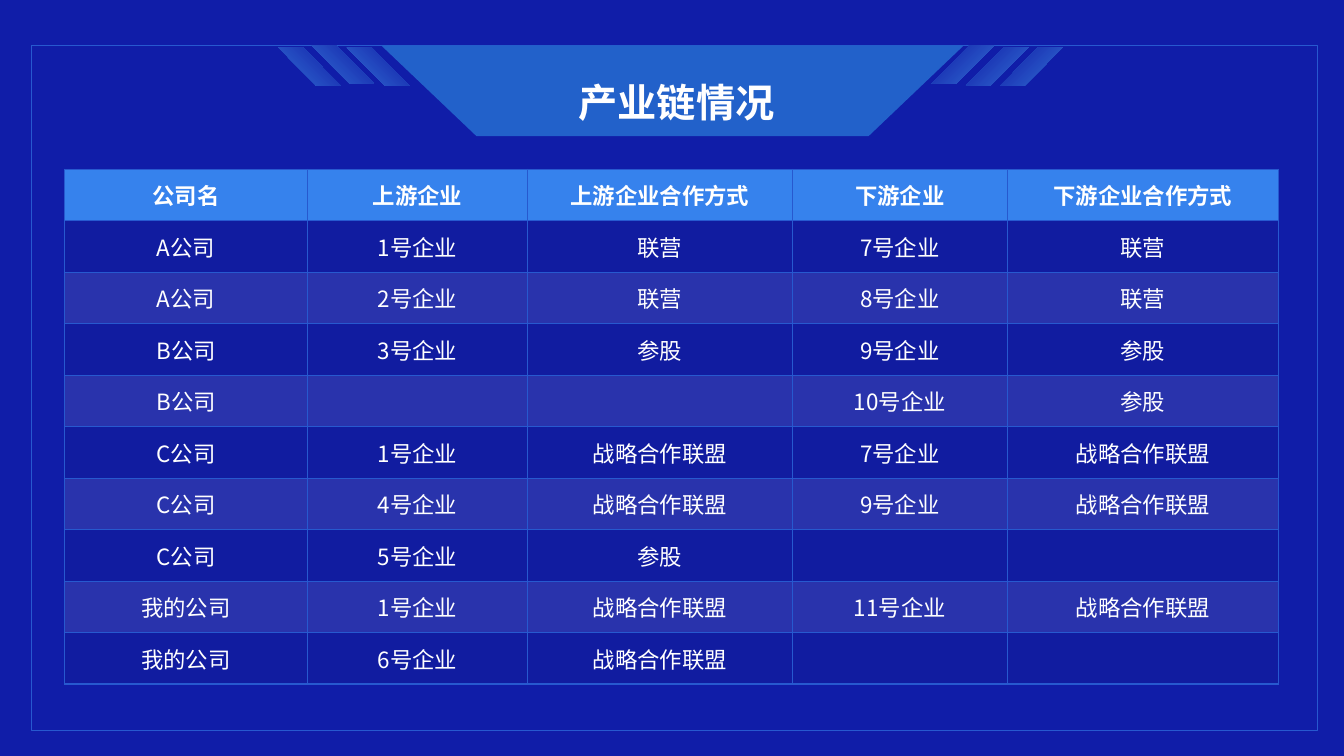
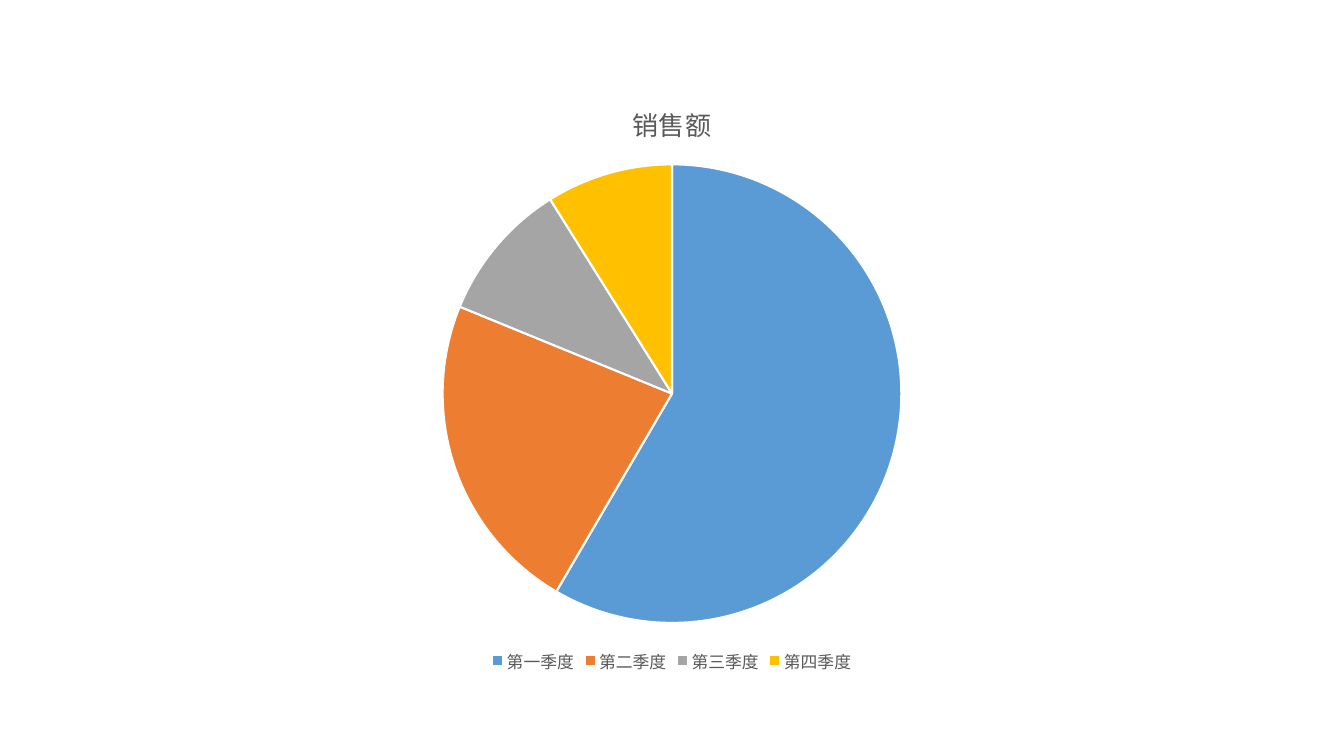
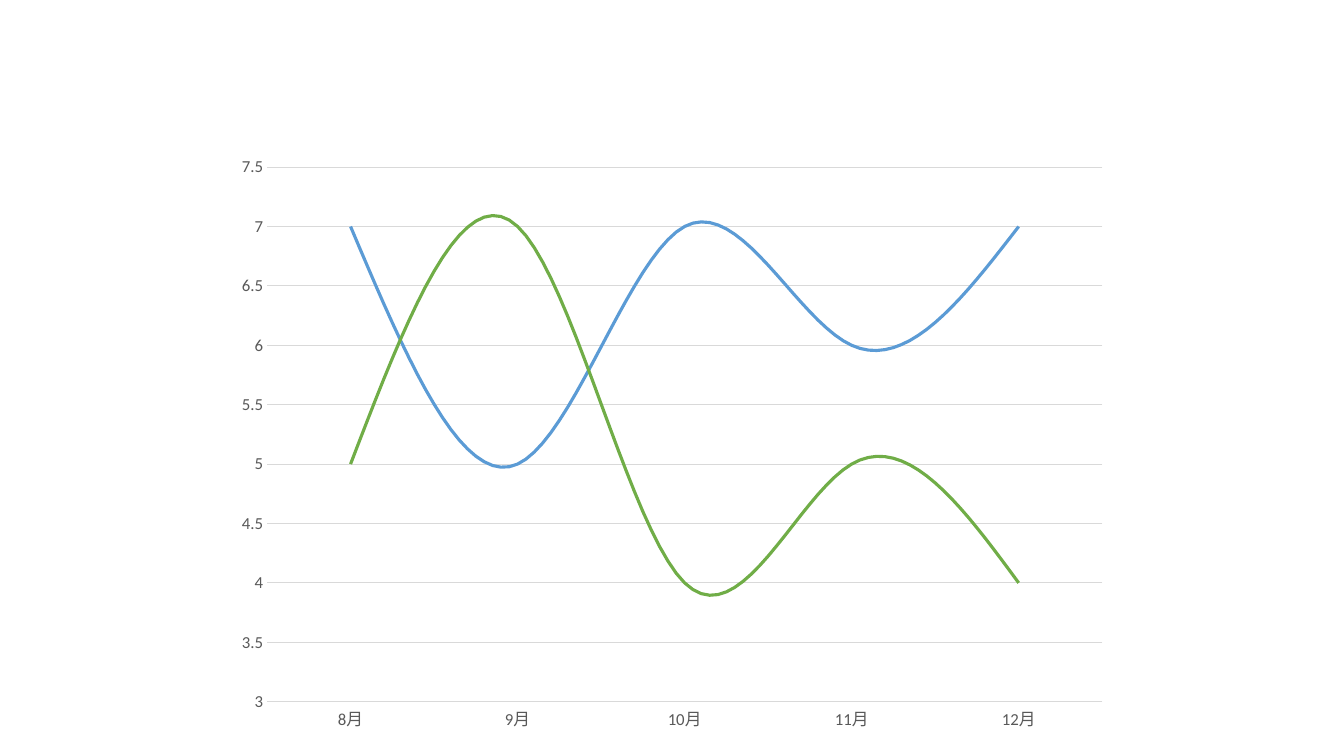
"""Build a three-slide deck: supply chain table, sales pie and monthly trend lines."""
from lxml.etree import SubElement
from pptx import Presentation
from pptx.chart.data import CategoryChartData
from pptx.dml.color import RGBColor
from pptx.enum.chart import XL_CHART_TYPE, XL_LEGEND_POSITION, XL_TICK_MARK
from pptx.enum.shapes import MSO_SHAPE
from pptx.enum.text import MSO_ANCHOR, MSO_AUTO_SIZE, PP_ALIGN
from pptx.oxml.ns import qn
from pptx.util import Inches, Pt

COLORS = {
    "navy": "101DA8", "white": "FFFFFF", "border": "2759CF", "banner": "2261CA",
    "header": "3682ED", "odd_row": "111CA0", "even_row": "2933AC",
    "stripe_light": "326ED5", "stripe_dark": "111DA6",
    "gray_text": "595959", "grid": "D9D9D9", "black": "000000",
    "blue": "5B9BD5", "orange": "ED7D31", "gray": "A5A5A5",
    "gold": "FFC000", "green": "70AD47",
}
LATIN_FONT = "Calibri"
TABLE_FONT = "Noto Sans CJK JP"


def rgb(name):
    return RGBColor.from_string(COLORS[name])


def style_font(font, size, color, name=LATIN_FONT, bold=False):
    font.size, font.name, font.bold = Pt(size), name, bold
    font.color.rgb = rgb(color)


def write_text(frame, text, align=PP_ALIGN.LEFT, **font_format):
    para = frame.paragraphs[0]
    para.alignment = align
    span = para.add_run()
    span.text = text
    style_font(span.font, **font_format)


class DeckBuilder:
    def __init__(self):
        self.deck = Presentation()
        self.deck.slide_width, self.deck.slide_height = Inches(13.33), Inches(7.5)
        self.page = None

    def add_page(self, background="white"):
        self.page = self.deck.slides.add_slide(self.deck.slide_layouts[6])
        fill = self.page.background.fill
        fill.solid()
        fill.fore_color.rgb = rgb(background)

    def shape(self, kind, place, fill=None, line=None, adjust=None):
        box = self.page.shapes.add_shape(kind, *map(Inches, place))
        box.shadow.inherit = False
        if adjust is not None:
            box.adjustments[0] = adjust
        if fill:
            box.fill.solid()
            box.fill.fore_color.rgb = rgb(fill)
        else:
            box.fill.background()
        if line:
            box.line.color.rgb = rgb(line)
            box.line.width = Pt(1)
        else:
            box.line.fill.background()
        return box

    def stripe(self, left, top, mirrored):
        box = self.shape(MSO_SHAPE.PARALLELOGRAM, (left, top, 0.62, 0.38), adjust=0.99)
        box.fill.gradient()
        box.fill.gradient_angle = 135
        for stop, color in zip(box.fill.gradient_stops, ("stripe_light", "stripe_dark")):
            stop.color.rgb = rgb(color)
        if mirrored:
            box.element.spPr.xfrm.set("flipH", "1")

    def title(self, text, place):
        box = self.page.shapes.add_textbox(*map(Inches, place))
        box.text_frame.word_wrap = True
        box.text_frame.auto_size = MSO_AUTO_SIZE.SHAPE_TO_FIT_TEXT
        write_text(box.text_frame, text, size=28, color="white", bold=True)

    def cell(self, cell, text, fill, bold):
        properties = cell._tc.get_or_add_tcPr()
        for side in ("a:lnL", "a:lnR", "a:lnT", "a:lnB"):
            edge = SubElement(properties, qn(side), w=str(Pt(1)))
            SubElement(SubElement(edge, qn("a:solidFill")), qn("a:srgbClr"), val=COLORS["border"])
        cell.fill.solid()
        cell.fill.fore_color.rgb = rgb(fill)
        cell.vertical_anchor = MSO_ANCHOR.MIDDLE
        if text:
            write_text(cell.text_frame, text, align=PP_ALIGN.CENTER, size=16,
                       color="white", name=TABLE_FONT, bold=bold)

    def table(self, rows, place, widths):
        table = self.page.shapes.add_table(len(rows), len(widths), *map(Inches, place)).table
        table.first_row = table.horz_banding = False
        for column, width in zip(table.columns, widths):
            column.width = Inches(width)
        for r, row in enumerate(rows):
            fill = "header" if r == 0 else "odd_row" if r % 2 else "even_row"
            for c, text in enumerate(row):
                self.cell(table.cell(r, c), text, fill, bold=r == 0)

    def chart(self, kind, top, categories, series):
        data = CategoryChartData()
        data.categories = categories
        for name, values in series:
            data.add_series(name, values)
        place = map(Inches, (2.22, top, 8.89, 5.93))
        chart = self.page.shapes.add_chart(kind, *place, data).chart
        style_font(chart.font, 10, "black")
        chart.has_legend = chart.has_title = False
        return chart

    def pie(self, title, top, categories, values, colors):
        chart = self.chart(XL_CHART_TYPE.PIE, top, categories, [(title, values)])
        chart.has_title = True
        write_text(chart.chart_title.text_frame, title, PP_ALIGN.CENTER,
                   size=18.6, color="gray_text")
        chart.chart_title.include_in_layout = False
        chart.has_legend = True
        chart.legend.position = XL_LEGEND_POSITION.BOTTOM
        chart.legend.include_in_layout = False
        style_font(chart.legend.font, 12, "gray_text")
        chart.plots[0].vary_by_categories = True
        for index, color in enumerate(colors):
            look = chart.plots[0].series[0].points[index].format
            look.fill.solid()
            look.fill.fore_color.rgb = rgb(color)
            look.line.color.rgb = rgb("white")
            look.line.width = Pt(1.5)

    def lines(self, top, categories, series, colors, low, high, step):
        chart = self.chart(XL_CHART_TYPE.LINE, top, categories, series)
        chart.plots[0].vary_by_categories = False
        for item, color in zip(chart.plots[0].series, colors):
            item.smooth = True
            item.format.line.color.rgb = rgb(color)
            item.format.line.width = Pt(2.25)
        months, scale = chart.category_axis, chart.value_axis
        for axis in (months, scale):
            axis.major_tick_mark = axis.minor_tick_mark = XL_TICK_MARK.NONE
            style_font(axis.tick_labels.font, 12, "gray_text")
        scale.minimum_scale, scale.maximum_scale, scale.major_unit = low, high, step
        scale.format.line.fill.background()
        scale.has_major_gridlines = True
        for line in (months.format.line, scale.major_gridlines.format.line):
            line.color.rgb = rgb("grid")
            line.width = Pt(0.75)


SUPPLY_CHAIN = [
    ("公司名", "上游企业", "上游企业合作方式", "下游企业", "下游企业合作方式"),
    ("A公司", "1号企业", "联营", "7号企业", "联营"),
    ("A公司", "2号企业", "联营", "8号企业", "联营"),
    ("B公司", "3号企业", "参股", "9号企业", "参股"),
    ("B公司", "", "", "10号企业", "参股"),
    ("C公司", "1号企业", "战略合作联盟", "7号企业", "战略合作联盟"),
    ("C公司", "4号企业", "战略合作联盟", "9号企业", "战略合作联盟"),
    ("C公司", "5号企业", "参股", "", ""),
    ("我的公司", "1号企业", "战略合作联盟", "11号企业", "战略合作联盟"),
    ("我的公司", "6号企业", "战略合作联盟", "", ""),
]
STRIPES = [
    (9.24, 0.45, False), (9.58, 0.47, False), (9.92, 0.47, False),
    (2.76, 0.47, True), (3.09, 0.45, True), (3.44, 0.47, True),
]


def main():
    builder = DeckBuilder()

    builder.add_page("navy")
    builder.table(SUPPLY_CHAIN, (0.64, 1.68, 12.05, 5.11), (2.41, 2.18, 2.63, 2.13, 2.69))
    builder.shape(MSO_SHAPE.RECTANGLE, (0.31, 0.45, 12.76, 6.8), line="border")
    banner = builder.shape(MSO_SHAPE.TRAPEZOID, (3.78, 0.45, 5.78, 0.9), fill="banner", adjust=1.05)
    banner.rotation = 180
    builder.title("产业链情况", (5.64, 0.73, 2.35, 0.57))
    for left, top, mirrored in STRIPES:
        builder.stripe(left, top, mirrored)

    builder.add_page()
    builder.pie("销售额", 0.79, ("第一季度", "第二季度", "第三季度", "第四季度"),
                (59, 23, 10, 9), ("blue", "orange", "gray", "gold"))

    builder.add_page()
    builder.lines(1.44, [f"{month}月" for month in range(8, 13)],
                  [("Series 1", (7, 5, 7, 6, 7)), ("Series 2", (5, 7, 4, 5, 4))],
                  ("blue", "green"), low=3, high=7.5, step=0.5)

    builder.deck.save("out.pptx")


if __name__ == "__main__":
    main()
